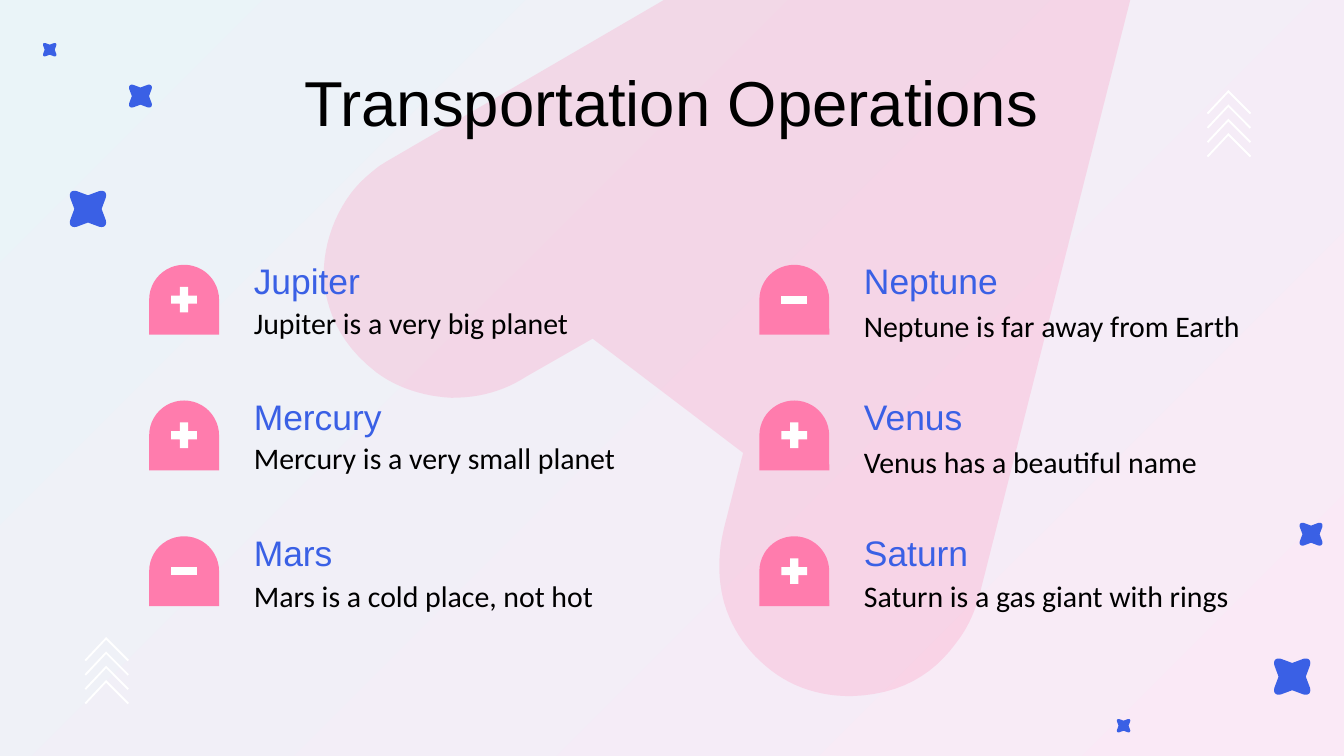
from collections import namedtuple
from dataclasses import dataclass

from lxml import etree
from pptx import Presentation
from pptx.dml.color import RGBColor
from pptx.enum.shapes import MSO_SHAPE
from pptx.enum.text import PP_ALIGN
from pptx.oxml.ns import qn
from pptx.util import Inches, Pt

ARCH = MSO_SHAPE.ROUND_2_SAME_RECTANGLE
PLUS = MSO_SHAPE.MATH_PLUS
MINUS = MSO_SHAPE.MATH_MINUS
CENTER = PP_ALIGN.CENTER

Box = namedtuple("Box", "x y w h")
Card = namedtuple("Card", "name text sign drop")


@dataclass(frozen=True)
class Theme:
    pink: str = "FF7CAD"
    blue: str = "3A60E5"
    white: str = "FFFFFF"
    black: str = "000000"
    blush: str = "FAE9F6"
    sky: str = "EAF4F8"
    head: str = "Arial"
    body: str = "Calibri"
    title: int = 34
    name: int = 19
    text: int = 16


THEME = Theme()

# Each card's drop is the gap from the top of its name to its description.
COLUMNS = [
    [
        Card("Jupiter", "Jupiter is a very big planet", PLUS, 0.34),
        Card("Mercury", "Mercury is a very small planet", PLUS, 0.33),
        Card("Mars", "Mars is a cold place, not hot", MINUS, 0.35),
    ],
    [
        Card("Neptune", "Neptune is far away from Earth", MINUS, 0.36),
        Card("Venus", "Venus has a beautiful name", PLUS, 0.36),
        Card("Saturn", "Saturn is a gas giant with rings", PLUS, 0.35),
    ],
]

# Two numbers are a line's end; six are a curve's two handles and its end.
BLOB = [
    (4.94, 0), (2.88, 1.2),
    (2.86, 1.21, 2.85, 1.22, 2.83, 1.23),
    (2.75, 1.29, 2.67, 1.36, 2.61, 1.44),
    (2.47, 1.63, 2.4, 1.86, 2.41, 2.09),
    (2.43, 2.27, 2.5, 2.54, 2.8, 2.77),
    (2.96, 2.89, 3.16, 2.95, 3.36, 2.96),
    (3.57, 2.96, 3.75, 2.91, 3.92, 2.8),
    (4.41, 2.52), (5.53, 3.37), (5.39, 3.92),
    (5.34, 4.12, 5.34, 4.31, 5.39, 4.49),
    (5.45, 4.69, 5.57, 4.86, 5.74, 4.99),
    (5.91, 5.12, 6.11, 5.18, 6.33, 5.18),
    (6.7, 5.17, 6.94, 5.02, 7.11, 4.79),
    (7.19, 4.69, 7.25, 4.57, 7.29, 4.42),
    (8.41, 0),
]
ARM = [(0, -0.75), (0.62, -0.98), (0.9, -1.05, 1.05, -0.9, 0.98, -0.62)]
CHEVRON = [(0.16, 0), (0, 0.17), (0.01, 0.18), (0.16, 0.02),
           (0.32, 0.18), (0.33, 0.17)]
STARS = [
    Box(8.31, 5.35, 0.1, 0.1), Box(9.67, 3.89, 0.17, 0.17),
    Box(9.48, 4.9, 0.27, 0.27), Box(0.52, 1.42, 0.27, 0.27),
    Box(0.96, 0.63, 0.17, 0.17), Box(0.32, 0.32, 0.1, 0.1),
]


def flatten(path, steps=12):
    """Turn lines and curves into a list of points."""
    points = []
    for part in path:
        if len(part) == 2:
            points.append(part)
            continue
        ends = [points[-1], part[:2], part[2:4], part[4:]]
        for i in range(1, steps + 1):
            t = i / steps
            u = 1 - t
            mix = (u ** 3, 3 * u * u * t, 3 * u * t * t, t ** 3)
            points.append(tuple(sum(m * e[k] for m, e in zip(mix, ends))
                                for k in (0, 1)))
    return points


def paint(shape, color):
    shape.shadow.inherit = False
    shape.fill.solid()
    shape.fill.fore_color.rgb = RGBColor.from_string(color)
    shape.line.fill.background()


def outline(slide, points, color):
    spots = [(Inches(x), Inches(y)) for x, y in points]
    pen = slide.shapes.build_freeform(*spots[0], scale=1.0)
    pen.add_line_segments(spots[1:], close=True)
    shape = pen.convert_to_shape()
    paint(shape, color)
    return shape


def preset(slide, kind, box, color, *adjust):
    shape = slide.shapes.add_shape(kind, *map(Inches, box))
    for i, value in enumerate(adjust):
        shape.adjustments[i] = value
    paint(shape, color)


def write(slide, box, text, font, size, color):
    frame = slide.shapes.add_textbox(*map(Inches, box)).text_frame
    frame.word_wrap = True
    frame.margin_left = frame.margin_right = Inches(0.1)
    frame.margin_top = frame.margin_bottom = Inches(0.1)
    frame.text = text
    para = frame.paragraphs[0]
    face = para.runs[0].font
    face.name, face.size = font, Pt(size)
    face.color.rgb = RGBColor.from_string(color)
    return para


def star(slide, box):
    points, arm = [], flatten(ARM)
    for _ in range(4):
        points += arm
        arm = [(-y, x) for x, y in arm]
    rx, ry = box.w / 2, box.h / 2
    outline(slide, [(box.x + rx * (1 + x), box.y + ry * (1 + y))
                    for x, y in points], THEME.blue)


def arrows(slide, left, top):
    for i in range(4):
        shift = top + i * 0.32 / 3
        outline(slide, [(left + x, shift + y) for x, y in CHEVRON],
                THEME.white)


def backdrop(slide):
    fill = slide.background.fill
    fill.gradient()
    fill.gradient_angle = 135
    for stop, color in zip(fill.gradient_stops, (THEME.blush, THEME.sky)):
        stop.color.rgb = RGBColor.from_string(color)
    blob = outline(slide, flatten(BLOB), THEME.pink)
    tint = blob.fill._xPr.find(qn("a:solidFill"))[0]
    etree.SubElement(tint, qn("a:alpha"), val="21000")
    for box in STARS:
        star(slide, box)
    arrows(slide, 8.98, 0.67)
    arrows(slide, 0.63, 4.74)


def heading(slide, box):
    para = write(slide, box, "Transportation Operations",
                 THEME.head, THEME.title, THEME.black)
    para.alignment = CENTER
    para.line_spacing = 0.8


def planet(slide, box, card):
    x, y, w, h = box
    preset(slide, ARCH, Box(x, y + 0.14, h, h), THEME.pink, 0.5, 0)
    left, wide = x + 0.68, w - 0.68
    write(slide, Box(left, y + card.drop, wide, h), card.text,
          THEME.body, THEME.text, THEME.black)
    write(slide, Box(left, y, wide, h), card.name,
          THEME.head, THEME.name, THEME.blue)
    preset(slide, card.sign, Box(x + 0.13, y + 0.27, 0.26, 0.26),
           THEME.white, 0.235)


def main():
    deck = Presentation()
    deck.slide_width = Inches(10)
    deck.slide_height = deck.slide_width * 9 // 16
    slide = deck.slides.add_slide(deck.slide_layouts[6])
    backdrop(slide)
    heading(slide, Box(0.79, 0.48, 8.41, 0.63))
    for col, cards in enumerate(COLUMNS):
        for row, card in enumerate(cards):
            box = Box(1.11 + col * 4.54, 1.83 + row * 1.01, 3.8, 0.52)
            planet(slide, box, card)
    deck.save("out.pptx")


if __name__ == "__main__":
    main()
